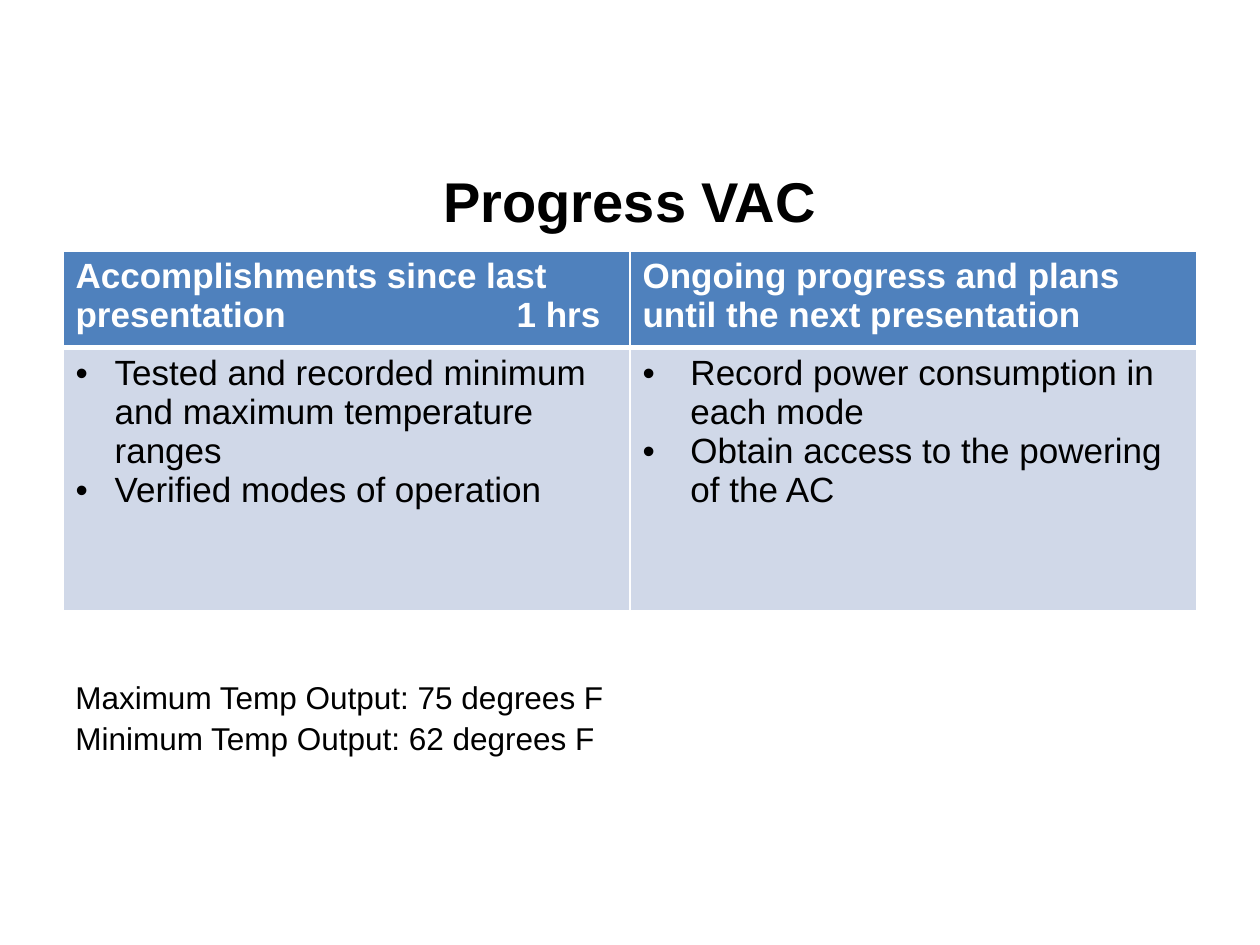
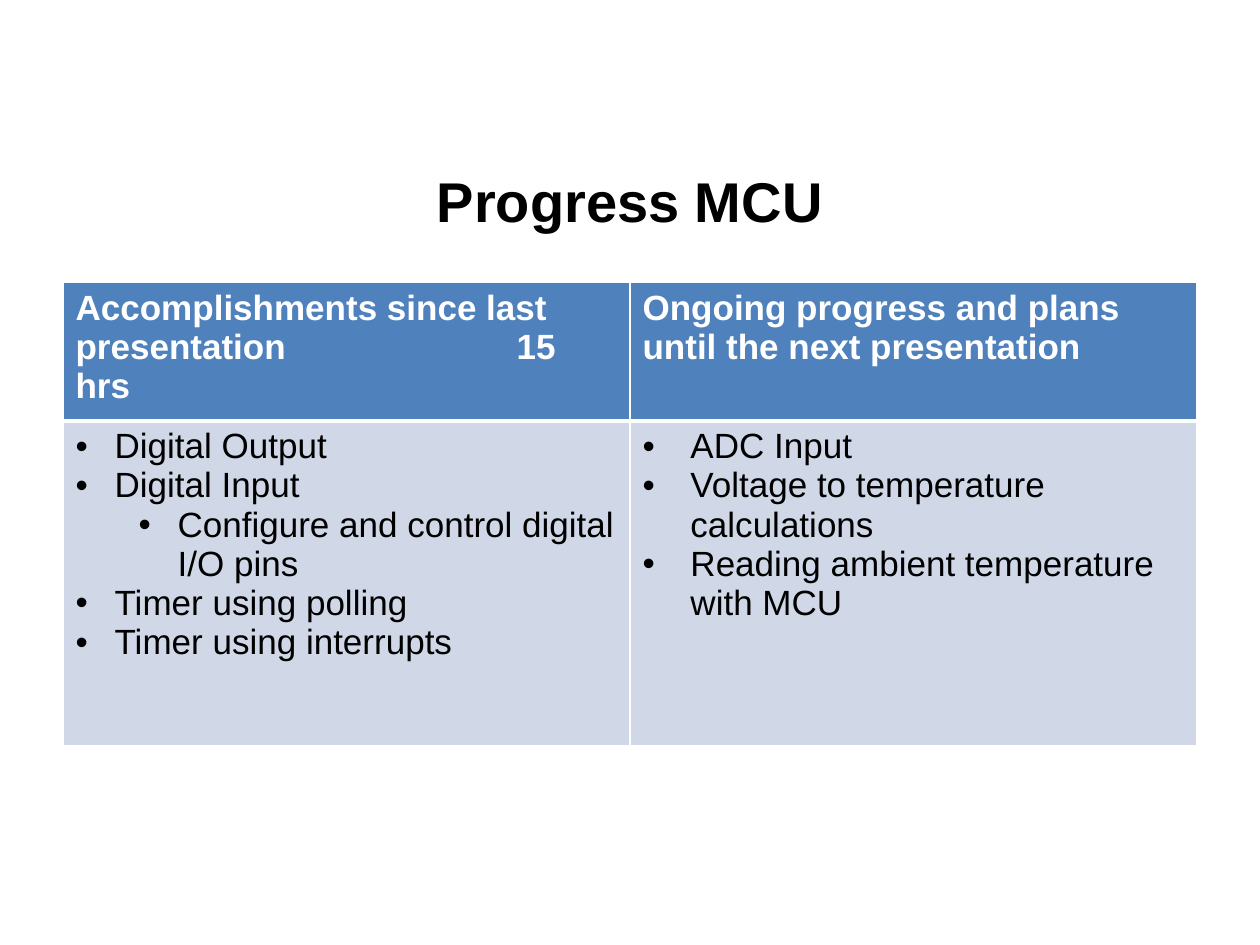
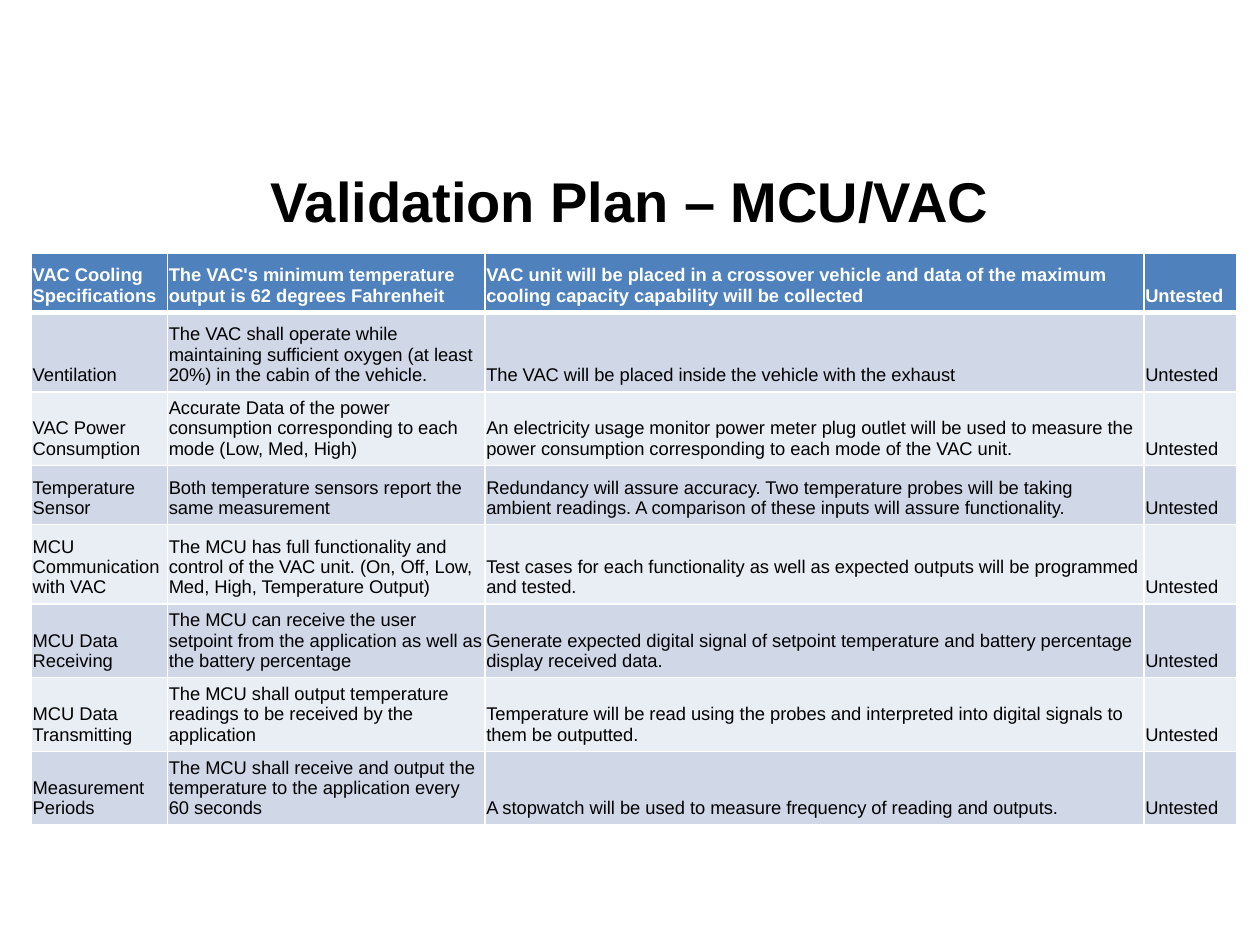
from lxml import etree
from pptx import Presentation
from pptx import util as u
from pptx.dml.color import RGBColor
from pptx.enum import text
from pptx.oxml import ns

BLACK = RGBColor(0x00, 0x00, 0x00)
WHITE = RGBColor(0xFF, 0xFF, 0xFF)
BLUE = RGBColor(0x4F, 0x81, 0xBD)
BANDS = (RGBColor(0xD0, 0xD8, 0xE8), RGBColor(0xE9, 0xED, 0xF4))

FONT = "Arial"
COLS, ROWS = 40, 30
MARGIN, WIDTH = 2, 36  # columns

# Cell formats
ROOMY = {}
TIGHT = {"margin_left": u.Inches(0.01), "margin_right": u.Inches(0.01),
         "margin_top": u.Inches(0.01), "margin_bottom": u.Inches(0.05),
         "vertical_anchor": text.MSO_ANCHOR.BOTTOM}


def sub(parent, tag, **attrs):
    return etree.SubElement(parent, ns.qn(tag), attrs)


def set_all(obj, values):
    for name, value in values.items():
        setattr(obj, name, value)


class Deck:
    """Holds the style and the current slide; lengths are grid units."""

    def __init__(self):
        self.prs = Presentation()
        self.prs.slide_width, self.prs.slide_height = u.Inches(10), u.Inches(7.5)
        self.s = None

    def x(self, cols):
        return round(self.prs.slide_width * cols / COLS)

    def y(self, rows):
        return round(self.prs.slide_height * rows / ROWS)

    def slide(self, title):
        self.s = self.prs.slides.add_slide(self.prs.slide_layouts[6])
        self.text([title], 4.6, 3.52, 32, bold=True,
                  para={"alignment": text.PP_ALIGN.CENTER},
                  frame={"vertical_anchor": text.MSO_ANCHOR.MIDDLE})

    def run(self, p, words, size, color=BLACK, bold=False):
        r = p.add_run()
        r.text = words
        set_all(r.font, {"name": FONT, "size": u.Pt(size), "bold": bold})
        r.font.color.rgb = color

    def paragraphs(self, tf, lines):
        for i, line in enumerate(lines):
            yield (tf.add_paragraph() if i else tf.paragraphs[0]), line

    def text(self, lines, top, height, size, bold=False, para={}, frame={}):
        sp = self.s.shapes.add_textbox(self.x(MARGIN), self.y(top),
                                       self.x(WIDTH), self.y(height))
        tf = sp.text_frame
        set_all(tf, {"word_wrap": True, **frame})
        for p, line in self.paragraphs(tf, lines):
            set_all(p, para)
            self.run(p, line, size, bold=bold)

    def table(self, left, top, widths, heights, fmt):
        tbl = self.s.shapes.add_table(
            len(heights), len(widths), self.x(left), self.y(top),
            self.x(sum(widths)), self.y(sum(heights))).table
        for col, w in zip(tbl.columns, widths):
            col.width = self.x(w)
        for i, (row, h) in enumerate(zip(tbl.rows, heights)):
            row.height = self.y(h)
            for cell in row.cells:
                set_all(cell, fmt)
                cell.fill.solid()
                cell.fill.fore_color.rgb = BANDS[(i - 1) % 2] if i else BLUE
                self.borders(cell, top=3 if i == 1 else 1, bottom=1 if i else 3)
        return tbl

    def borders(self, cell, top, bottom):
        tc_pr = cell._tc.get_or_add_tcPr()
        sides = (("a:lnL", 1), ("a:lnR", 1), ("a:lnT", top), ("a:lnB", bottom))
        for i, (tag, width) in enumerate(sides):
            ln = etree.Element(ns.qn(tag), w=str(u.Pt(width)))
            sub(sub(ln, "a:solidFill"), "a:srgbClr", val=str(WHITE))
            tc_pr.insert(i, ln)

    def bullets(self, cell, items, hang):
        for p, (level, words) in self.paragraphs(cell.text_frame, items):
            p.level = level
            p_pr = p._p.get_or_add_pPr()
            p_pr.set("marL", str(u.Inches(hang + 0.5 * level)))
            p_pr.set("indent", str(-u.Inches(hang)))
            sub(p_pr, "a:buFont", typeface=FONT)
            sub(p_pr, "a:buChar", char="•")
            self.run(p, words, 20)

    def progress(self, title, top, heights, hours, done, plans):
        self.slide(title)
        tbl = self.table(MARGIN, top, [WIDTH / 2] * 2, heights, ROOMY)
        heads = (f"Accomplishments since last presentation\t{hours}",
                 "Ongoing progress and plans until the next presentation")
        for c, head in enumerate(heads):
            p = tbl.cell(0, c).text_frame.paragraphs[0]
            self.run(p, head, 20, WHITE, True)
        # The hours stand at a tab stop
        p_pr = tbl.cell(0, 0).text_frame.paragraphs[0]._p.get_or_add_pPr()
        sub(sub(p_pr, "a:tabLst"), "a:tab", pos=str(u.Inches(3.5)), algn="l")
        self.bullets(tbl.cell(1, 0), done, 0.31)
        self.bullets(tbl.cell(1, 1), plans, 0.38)

    def validation(self, title, rows, widths, heights):
        self.slide(title)
        tbl = self.table(1, 8.04, widths, heights, TIGHT)
        for i, row in enumerate(rows):
            for c, words in enumerate((*row, "Untested")):
                p = tbl.cell(i, c).text_frame.paragraphs[0]
                self.run(p, words, 10.5, BLACK if i else WHITE, not i)


CHECKS = [
    ("VAC Cooling Specifications",
     "The VAC's minimum temperature output is 62 degrees Fahrenheit",
     "VAC unit will be placed in a crossover vehicle and data of the maximum "
     "cooling capacity capability will be collected"),
    ("Ventilation",
     "The VAC shall operate while maintaining sufficient oxygen (at least 20%) "
     "in the cabin of the vehicle.",
     "The VAC will be placed inside the vehicle with the exhaust"),
    ("VAC Power Consumption",
     "Accurate Data of the power consumption corresponding to each mode "
     "(Low, Med, High)",
     "An electricity usage monitor power meter plug outlet will be used to measure "
     "the power consumption corresponding to each mode of the VAC unit."),
    ("Temperature Sensor",
     "Both temperature sensors report the same measurement",
     "Redundancy will assure accuracy. Two temperature probes will be taking ambient "
     "readings. A comparison of these inputs will assure functionality."),
    ("MCU Communication with VAC",
     "The MCU has full functionality and control of the VAC unit. "
     "(On, Off, Low, Med, High, Temperature Output)",
     "Test cases for each functionality as well as expected outputs will be "
     "programmed and tested."),
    ("MCU Data Receiving",
     "The MCU can receive the user setpoint from the application as well as "
     "the battery percentage",
     "Generate expected digital signal of setpoint temperature and battery "
     "percentage display received data."),
    ("MCU Data Transmitting",
     "The MCU shall output temperature readings to be received by the application",
     "Temperature will be read using the probes and interpreted into digital "
     "signals to them be outputted."),
    ("Measurement Periods",
     "The MCU shall receive and output the temperature to the application "
     "every 60 seconds",
     "A stopwatch will be used to measure frequency of reading and outputs."),
]


def main():
    deck = Deck()

    # Progress of the VAC
    deck.progress(
        "Progress VAC", 7.96, (2.84, 8.36), "1 hrs",
        [(0, "Tested and recorded minimum and maximum temperature ranges"),
         (0, "Verified modes of operation")],
        [(0, "Record power consumption in each mode"),
         (0, "Obtain access to the powering of the AC")])
    deck.text(["Maximum Temp Output: 75 degrees F",
               "Minimum Temp Output: 62 degrees F"],
              21.24, 4.04, 18, para={"line_spacing": 1.08})

    # Progress of the MCU
    deck.progress(
        "Progress MCU", 8.96, (4.08, 10.32), "15 hrs",
        [(0, "Digital Output"),
         (0, "Digital Input"),
         (1, "Configure and control digital I/O pins"),
         (0, "Timer using polling"),
         (0, "Timer using interrupts")],
        [(0, "ADC Input"),
         (0, "Voltage to temperature calculations"),
         (0, "Reading ambient temperature with MCU")])

    # Validation plan
    deck.validation("Validation Plan – MCU/VAC", CHECKS,
                    widths=(4.32, 10.08, 20.92, 2.96),
                    heights=(1.88, 2.52, 2.2, 1.88, 2.52, 2.2, 2.2, 2.2))

    deck.prs.save("out.pptx")


if __name__ == "__main__":
    main()
